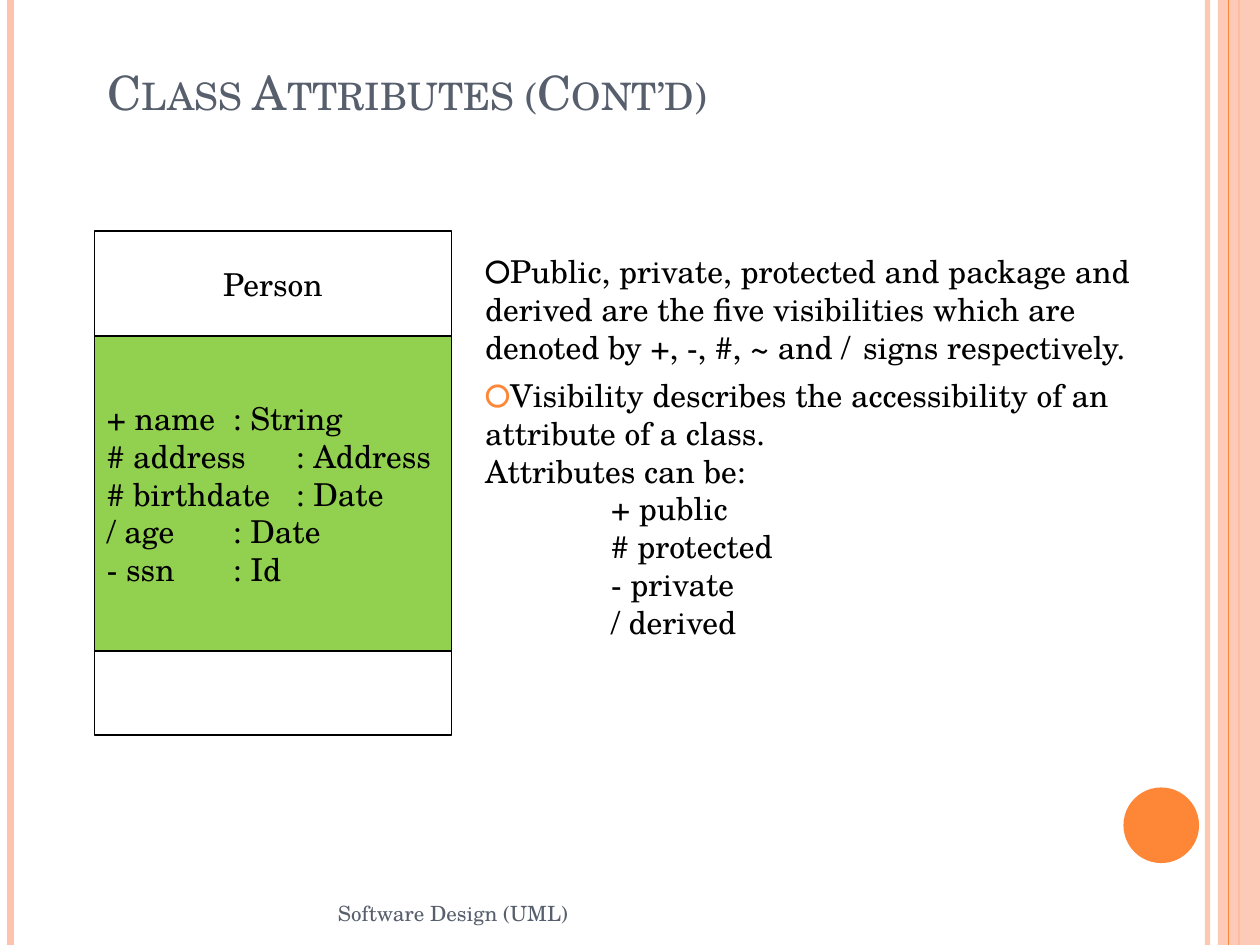
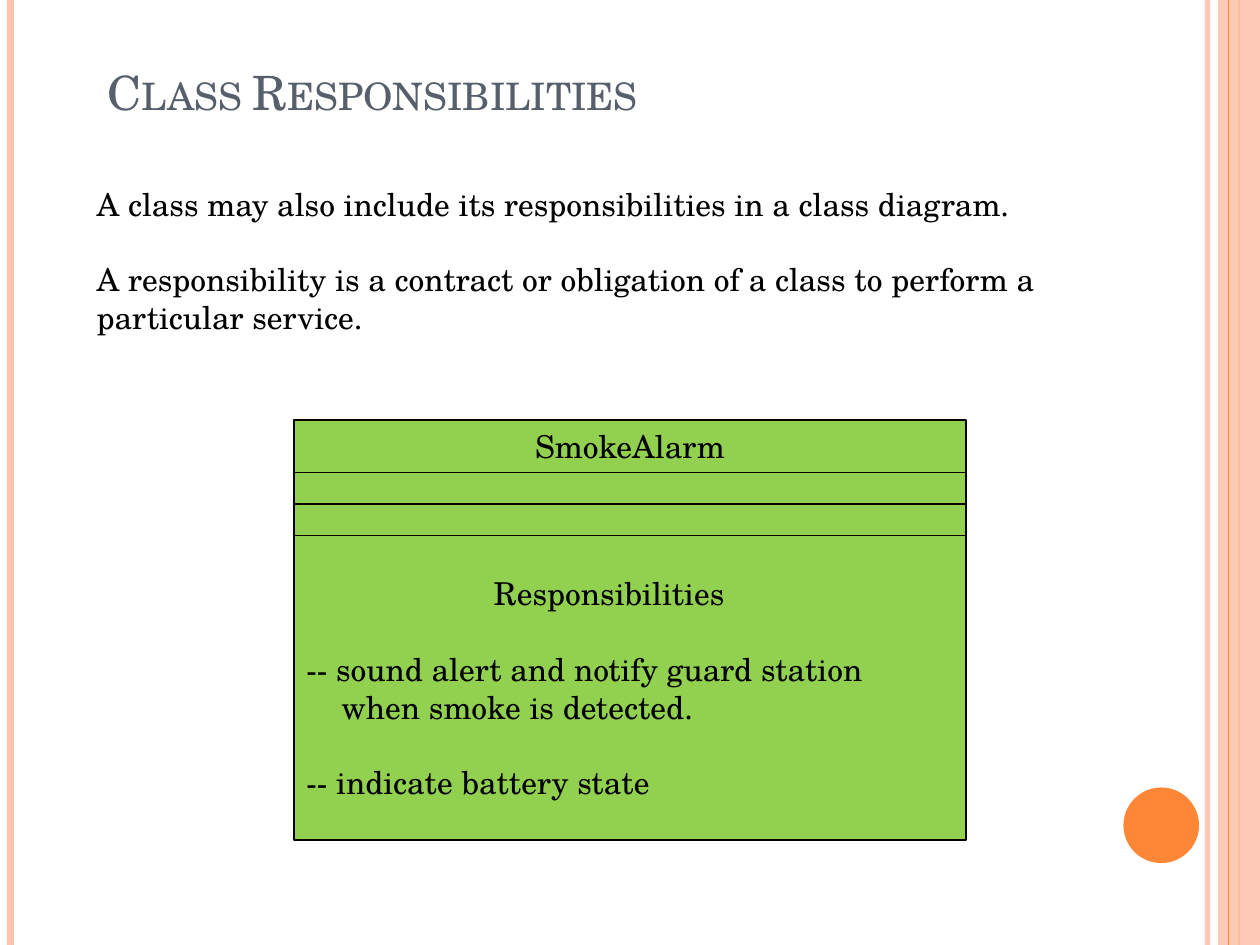
from lxml.etree import SubElement
from pptx import Presentation
from pptx.dml.color import RGBColor
from pptx.enum.shapes import MSO_CONNECTOR, MSO_SHAPE
from pptx.enum.text import MSO_ANCHOR, MSO_AUTO_SIZE, PP_ALIGN
from pptx.oxml.ns import qn
from pptx.util import Pt

WHITE = RGBColor(0xFF, 0xFF, 0xFF)
BLACK = RGBColor(0, 0, 0)
GREEN = RGBColor(0x92, 0xD0, 0x50)
ORANGE = RGBColor(0xFE, 0x86, 0x37)
PEACH = RGBColor(0xFE, 0xC3, 0xAE)
SLATE = RGBColor(0x57, 0x5F, 0x6D)

FONT = "TeX Gyre Schola"
TEXT_SIZE = 18
BLANK_LINE = 21.5
SLIDE_WIDTH, SLIDE_HEIGHT = 720, 540


# Text
def add_styled_run(paragraph, text, size=TEXT_SIZE, color=BLACK):
    run = paragraph.add_run()
    run.text = text
    run.font.name = FONT
    run.font.size = Pt(size)
    run.font.color.rgb = color
    return run


def set_bullet(paragraph, color):
    """Give the paragraph a ring bullet, or none when there is no color."""
    properties = paragraph._p.get_or_add_pPr()
    if color is None:
        SubElement(properties, qn("a:buNone"))
        return
    bullet_color = SubElement(properties, qn("a:buClr"))
    SubElement(bullet_color, qn("a:srgbClr"), val=str(color))
    SubElement(properties, qn("a:buFont"), typeface=FONT)
    SubElement(properties, qn("a:buChar"), char="🞆")


def set_tab(paragraph, position):
    tabs = SubElement(paragraph._p.get_or_add_pPr(), qn("a:tabLst"))
    SubElement(tabs, qn("a:tab"), pos=str(Pt(position)), algn="l")


def write_line(paragraph, text, left=0, before=0, bullet=None, tab=None,
               align=PP_ALIGN.LEFT):
    properties = paragraph._p.get_or_add_pPr()
    properties.set("marL", str(Pt(left)))
    properties.set("indent", "0")
    set_bullet(paragraph, bullet)
    if tab:
        set_tab(paragraph, tab)
    paragraph.alignment = align
    paragraph.space_before = Pt(before)
    add_styled_run(paragraph, text)


def write_lines(frame, lines):
    """Write (text, options) pairs, one paragraph each."""
    frame.word_wrap = True
    for index, (text, options) in enumerate(lines):
        paragraph = frame.paragraphs[0] if index == 0 else frame.add_paragraph()
        write_line(paragraph, text, **options)


# Placeholders
def place(placeholder, left, top, width, height, anchor):
    placeholder.left, placeholder.top = Pt(left), Pt(top)
    placeholder.width, placeholder.height = Pt(width), Pt(height)
    frame = placeholder.text_frame
    frame.auto_size = MSO_AUTO_SIZE.NONE
    frame.vertical_anchor = anchor
    return frame


def set_title(slide, text):
    frame = place(slide.shapes.title, 54, 30, 618, 42, MSO_ANCHOR.BOTTOM)
    heading = frame.paragraphs[0]
    heading.alignment = PP_ALIGN.LEFT
    run = add_styled_run(heading, text, 27, SLATE)
    run._r.get_or_add_rPr().set("cap", "small")


def set_body(slide, box, lines):
    write_lines(place(slide.placeholders[1], *box, MSO_ANCHOR.TOP), lines)


# Frame shared by all slides
def set_opacity(fill_parent, percent):
    color = fill_parent.find(".//" + qn("a:srgbClr"))
    SubElement(color, qn("a:alpha"), val=str(percent * 1000))


def add_stripe(slide, x, color, width):
    stripe = slide.shapes.add_connector(
        MSO_CONNECTOR.STRAIGHT, Pt(x), Pt(0), Pt(x), Pt(SLIDE_HEIGHT))
    stripe.line.color.rgb = color
    stripe.line.width = Pt(width)
    SubElement(stripe._element.spPr, qn("a:effectLst"))
    return stripe


def add_filled_shape(slide, kind, left, top, width, height, color):
    shape = slide.shapes.add_shape(kind, Pt(left), Pt(top), Pt(width), Pt(height))
    shape.shadow.inherit = False
    shape.fill.solid()
    shape.fill.fore_color.rgb = color
    shape.line.fill.background()
    return shape


def add_frame(slide):
    set_opacity(add_stripe(slide, 690, PEACH, 3)._element.spPr, 93)
    add_stripe(slide, 6, PEACH, 4.5)
    add_stripe(slide, 708, ORANGE, 1.5)
    band = add_filled_shape(
        slide, MSO_SHAPE.RECTANGLE, 696, 0, 24, SLIDE_HEIGHT, PEACH)
    set_opacity(band._element.spPr, 87)
    add_stripe(slide, 702, ORANGE, 0.75)
    add_filled_shape(slide, MSO_SHAPE.OVAL, 642, 450, 43.2, 43.2, ORANGE)


def add_footer(slide, text):
    footer = slide.shapes.add_textbox(Pt(186), Pt(504), Pt(318), Pt(36))
    frame = footer.text_frame
    frame.word_wrap = True
    frame.vertical_anchor = MSO_ANCHOR.MIDDLE
    add_styled_run(frame.paragraphs[0], text, 12, SLATE)


# UML class: compartments stacked from the top down
def add_uml_class(slide, left, top, width, compartments):
    for height, color, lines in compartments:
        compartment = add_filled_shape(
            slide, MSO_SHAPE.RECTANGLE, left, top, width, height, color)
        compartment.line.color.rgb = BLACK
        compartment.line.width = Pt(0.75)
        compartment.text_frame.vertical_anchor = MSO_ANCHOR.MIDDLE
        write_lines(compartment.text_frame, lines)
        top += height


def add_framed_slide(deck, title):
    slide = deck.slides.add_slide(deck.slide_layouts[1])
    add_frame(slide)
    set_title(slide, title)
    return slide


def build_attributes(deck):
    slide = add_framed_slide(deck, "Class Attributes (Cont’d)")
    add_footer(slide, "Software Design (UML)")
    attributes = ["+ name\t: String", "# address\t: Address",
                  "# birthdate\t: Date", "/ age\t: Date", "- ssn\t: Id"]
    add_uml_class(slide, 54, 132, 204, [
        (60, WHITE, [("Person", {"align": PP_ALIGN.CENTER})]),
        (180, GREEN, [(attribute, {"tab": 96}) for attribute in attributes]),
        (48, WHITE, []),
    ])
    visibilities = ["+ public", "# protected", "- private", "/ derived"]
    set_body(slide, (270, 140.4, 414, 231), [
        ("Public, private, protected and package and derived are the five "
         "visibilities which are denoted by +, -, #, ~ and /\tsigns "
         "respectively.", {"bullet": BLACK}),
        ("Visibility describes the accessibility of an attribute of a class.",
         {"bullet": ORANGE, "before": 6}),
        ("Attributes can be:", {}),
        *((visibility, {"left": 72}) for visibility in visibilities),
    ])


def build_responsibilities(deck):
    slide = add_framed_slide(deck, "Class Responsibilities")
    set_body(slide, (48, 102, 630, 122.4), [
        ("A class may also include its responsibilities in a class diagram.", {}),
        ("A responsibility is a contract or obligation of a class to perform "
         "a particular service.", {"before": BLANK_LINE}),
    ])
    add_uml_class(slide, 168, 240, 384, [
        (30, GREEN, [("SmokeAlarm", {"align": PP_ALIGN.CENTER})]),
        (18, GREEN, []),
        (18, GREEN, []),
        (174, GREEN, [
            ("Responsibilities", {"left": 107}),
            ("-- sound alert and notify guard station", {"before": BLANK_LINE}),
            ("when smoke is detected.", {"left": 20}),
            ("-- indicate battery state", {"before": BLANK_LINE}),
        ]),
    ])


def main():
    deck = Presentation()
    deck.slide_width, deck.slide_height = Pt(SLIDE_WIDTH), Pt(SLIDE_HEIGHT)
    build_attributes(deck)
    build_responsibilities(deck)
    deck.save("out.pptx")


if __name__ == "__main__":
    main()
